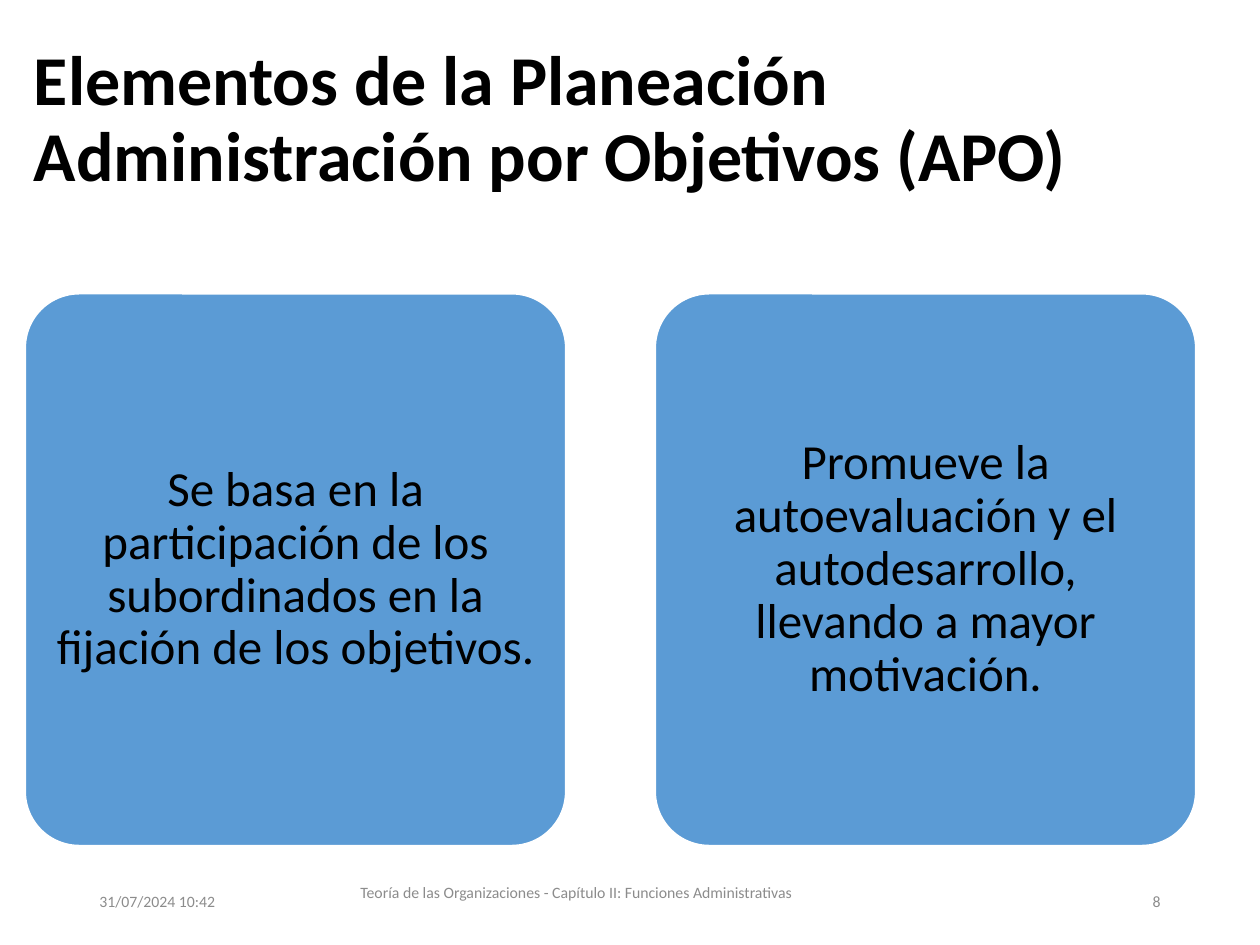
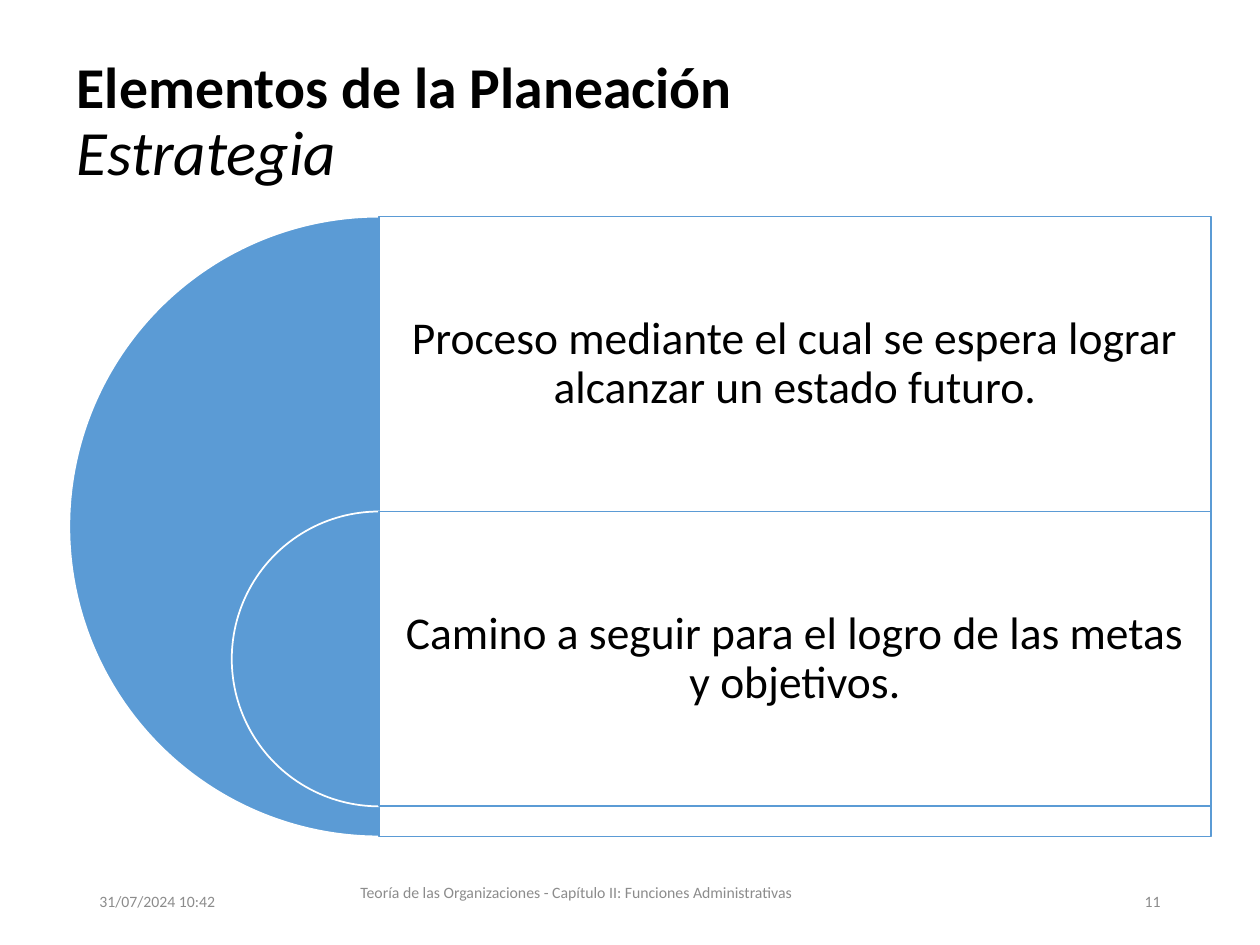
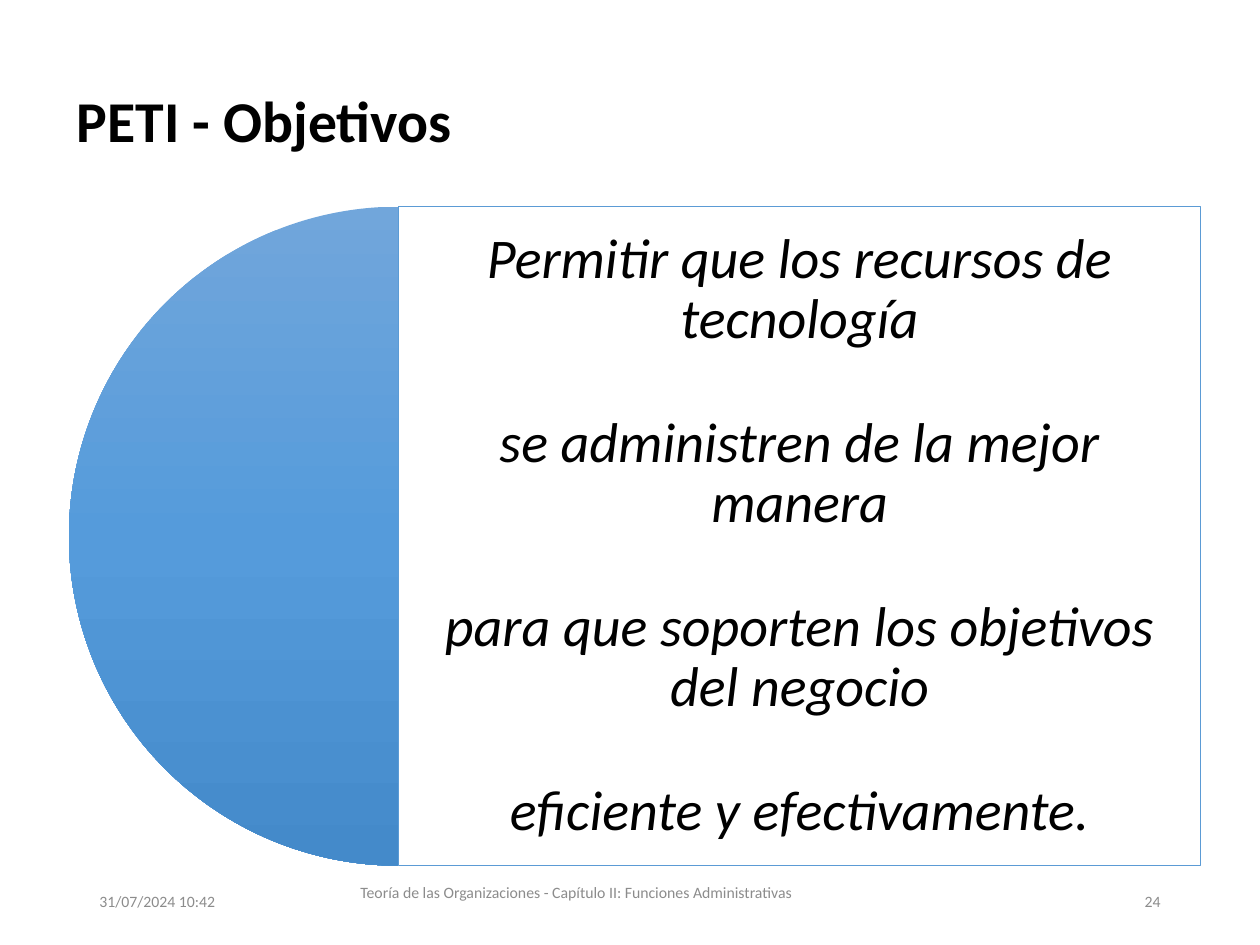
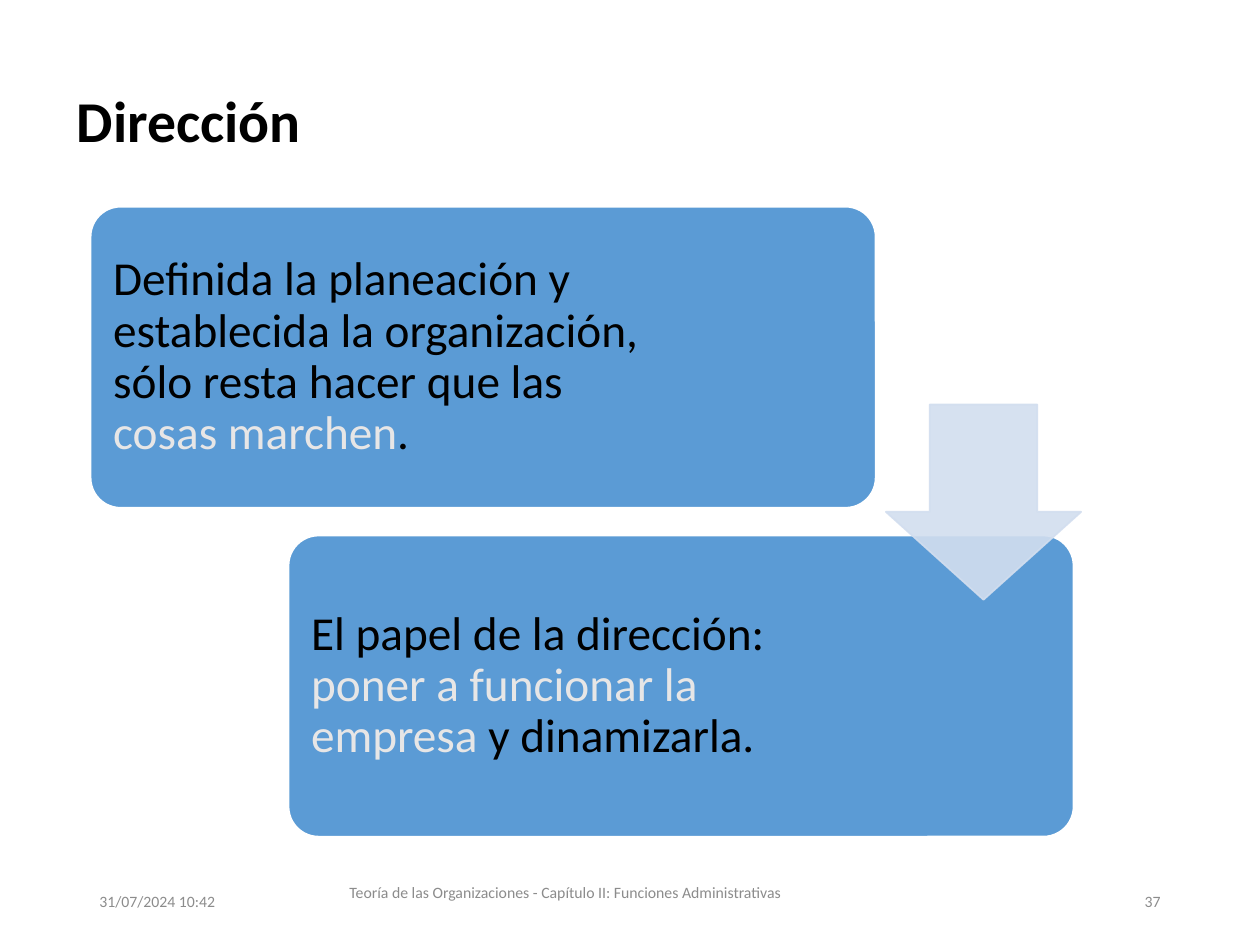
from copy import deepcopy

from lxml import etree
from pptx import Presentation
from pptx.dml.color import RGBColor
from pptx.enum.shapes import MSO_SHAPE
from pptx.enum.text import MSO_ANCHOR, MSO_AUTO_SIZE, PP_ALIGN
from pptx.oxml.ns import qn
from pptx.util import Pt

ROUNDED = MSO_SHAPE.ROUNDED_RECTANGLE
RECTANGLE = MSO_SHAPE.RECTANGLE
PIE = MSO_SHAPE.PIE
DOWN_ARROW = MSO_SHAPE.DOWN_ARROW
LEFT, CENTER, RIGHT = PP_ALIGN.LEFT, PP_ALIGN.CENTER, PP_ALIGN.RIGHT
MIDDLE = MSO_ANCHOR.MIDDLE
NO_AUTOFIT = MSO_AUTO_SIZE.NONE

FONT = "Calibri"
BLACK, WHITE, BLUE = "000000", "FFFFFF", "5B9BD5"
PALE_BLUE, LIGHT_GRAY, FOOTER_GRAY = "D2DEEF", "E7E6E6", "8C8C8C"
DISC_GRADIENT = [(0, "71A6DB"), (0.5, "559BDB"), (1, "448ACA")]

TITLE_BOX = (36.7, 25.9, 648, 90)
FOOTER_BOX = (146.2, 491.8, 365.8, 36)
LAST_FOOTER_BOX = (134.6, 491.8, 376.6, 36)
DATE = "31/07/2024 10:42"
FOOTER = "Teoría de las Organizaciones - Capítulo II: Funciones Administrativas"
CORNER = 0.1
CORNER_INSET = 0.29 * CORNER  # where a rounded corner meets its diagonal


def color(hex_string):
    return RGBColor.from_string(hex_string)


def points(box):
    return [Pt(length) for length in box]


def write_text(shape, paragraphs, size=28, fill=BLACK, align=LEFT, spacing=0.9,
               gap=0, inset=None, **style):
    """Write paragraphs, each a string or a list of (text, font overrides); newlines become line breaks."""
    frame = shape.text_frame
    frame.word_wrap = True
    frame.auto_size = NO_AUTOFIT
    frame.vertical_anchor = MIDDLE
    if inset is not None:
        frame.margin_left = frame.margin_right = Pt(inset)
        frame.margin_top = frame.margin_bottom = Pt(inset)
    for index, content in enumerate(paragraphs):
        paragraph = frame.add_paragraph() if index else frame.paragraphs[0]
        paragraph.alignment = align
        paragraph.line_spacing = spacing
        if index:
            paragraph.space_before = Pt(gap)
        parts = [(content, {})] if isinstance(content, str) else content
        for text, overrides in parts:
            look = {"size": size, "fill": fill, **style, **overrides}
            for number, line in enumerate(text.split("\n")):
                if number:
                    paragraph.add_line_break()
                    line_break = paragraph._p[-1]
                    line_break.append(deepcopy(paragraph.runs[-1]._r.rPr))
                if line:
                    add_run(paragraph, line, **look)


def add_run(paragraph, text, size, fill, bold=False, italic=False):
    run = paragraph.add_run()
    run.text = text
    font = run.font
    font.name, font.size = FONT, Pt(size)
    font.bold, font.italic = bold, italic
    font.color.rgb = color(fill)


def add_label(slide, box, paragraphs, **text_format):
    write_text(slide.shapes.add_textbox(*points(box)), paragraphs, **text_format)


def set_alpha(shape, tag, percent):
    """Set the opacity of the colours found below the given element of the shape."""
    for parent in shape._element.spPr.iter(qn(tag)):
        for solid in parent.iter(qn("a:srgbClr")):
            etree.SubElement(solid, qn("a:alpha")).set("val", str(percent * 1000))


def set_gradient(shape, stops):
    """Fill the shape from top to bottom with (position, colour) stops."""
    shape.fill.gradient()
    shape.fill.gradient_angle = 270
    stop_list = next(shape._element.spPr.iter(qn("a:gsLst")))
    while len(stop_list) < len(stops):
        stop_list.append(deepcopy(stop_list[0]))
    for stop, (position, shade) in zip(shape.fill.gradient_stops, stops):
        stop.position = position
        stop.color.rgb = color(shade)


def add_shape(slide, kind, box, fill=BLUE, line=WHITE, line_width=1,
              adjustments=(), alpha=None):
    """Add a preset shape; fill is a colour or a list of gradient stops."""
    shape = slide.shapes.add_shape(kind, *points(box))
    shape.shadow.inherit = False
    for index, value in enumerate(adjustments):
        shape.adjustments[index] = value
    if isinstance(fill, str):
        shape.fill.solid()
        shape.fill.fore_color.rgb = color(fill)
    else:
        set_gradient(shape, fill)
    if alpha:
        set_alpha(shape, "a:solidFill", alpha)
    if line:
        shape.line.color.rgb = color(line)
        shape.line.width = Pt(line_width)
    else:
        shape.line.fill.background()
    return shape


def add_slide(presentation, number, title, title_box=TITLE_BOX, title_size=33,
              footer_box=FOOTER_BOX):
    """Start a slide with its title, date, footer and page number."""
    slide = presentation.slides.add_slide(presentation.slide_layouts[5])
    heading = slide.shapes.title
    heading.left, heading.top, heading.width, heading.height = points(title_box)
    write_text(heading, [title], size=title_size, bold=True)
    for box, text, align in (
        ((49.7, 500.4, 162, 28.8), DATE, LEFT),
        (footer_box, FOOTER, CENTER),
        ((508.3, 500.4, 162, 28.8), str(number), RIGHT),
    ):
        add_label(slide, box, [text], size=9, fill=FOOTER_GRAY, align=align, spacing=1)
    return slide


def add_card(slide, box, paragraph, label_width=None, **text_format):
    """Add a rounded card whose label keeps clear of the corners."""
    left, top, width, height = box
    add_shape(slide, ROUNDED, box, adjustments=[CORNER])
    margin = CORNER_INSET * min(width, height)
    label_box = (left + margin, top + margin,
                 label_width or width - 2 * margin, height - 2 * margin)
    add_label(slide, label_box, [paragraph], **text_format)


def add_half_disc_panel(slide, box, paragraphs, label_height=None, disc_fill=BLUE,
                        disc_line=WHITE, line_width=1, **text_format):
    """Add a panel with a half disc of the same height against its left edge."""
    left, top, width, height = box
    add_shape(slide, PIE, (left - height / 2, top, height, height), fill=disc_fill,
              line=disc_line, adjustments=[54, 162])
    panel = add_shape(slide, RECTANGLE, box, fill=WHITE, line=None, alpha=90)
    panel.line.color.rgb = color(BLUE)
    panel.line.width = Pt(line_width)
    add_label(slide, (left, top, width, label_height or height), paragraphs,
              align=CENTER, **text_format)


def build_objectives_slide(presentation):
    slide = add_slide(
        presentation, 8,
        "Elementos de la Planeación\nAdministración por Objetivos (APO)",
        title_box=(12.2, 4.3, 659.5, 129.6), title_size=40)
    sentences = [
        "Se basa en la participación de los subordinados en la fijación de los objetivos.",
        "Promueve la autoevaluación y el autodesarrollo, llevando a mayor motivación.",
    ]
    for column, sentence in enumerate(sentences):
        add_card(slide, (14.4 + 360 * column, 167.8, 308.9, 315.4), sentence,
                 align=CENTER, inset=8.6)


def build_strategy_slide(presentation):
    slide = add_slide(presentation, 11, [
        ("Elementos de la Planeación\n", {}),
        ("Estrategia", {"size": 36, "bold": False, "italic": True}),
    ])
    left, top, width, row_height = 216.7, 123.8, 475.2, 168.5
    rows = [
        (354.2, "Proceso mediante el cual se espera lograr alcanzar un estado futuro."),
        (row_height, "Camino a seguir para el logro de las metas y objetivos."),
    ]
    for index, (height, sentence) in enumerate(rows):
        add_half_disc_panel(slide, (left, top + index * row_height, width, height),
                            [sentence], label_height=row_height, size=26, inset=7.9)


def build_peti_slide(presentation):
    slide = add_slide(presentation, 24, "PETI - Objetivos")
    phrases = [
        "Permitir que los recursos de tecnología",
        "se administren de la mejor manera",
        "para que soporten los objetivos del negocio",
        "eficiente y efectivamente.",
    ]
    add_half_disc_panel(slide, (227.7, 118.1, 458.6, 376.6), phrases,
                        disc_fill=DISC_GRADIENT, disc_line=None, line_width=0.5,
                        size=32, italic=True, gap=36, inset=9.4)


def build_direction_slide(presentation):
    slide = add_slide(presentation, 37, "Dirección", footer_box=LAST_FOOTER_BOX)
    highlight = {"fill": LIGHT_GRAY}
    steps = [
        (321.1, [
            ("Definida la planeación y establecida la organización, "
             "sólo resta hacer que las ", {}),
            ("cosas marchen", highlight),
            (".", {}),
        ]),
        (280.8, [
            ("El papel de la dirección: ", {}),
            ("poner a funcionar la empresa", highlight),
            (" y dinamizarla.", {}),
        ]),
    ]
    for index, (label_width, sentence) in enumerate(steps):
        box = (51.8 + 113.1 * index, 118.1 + 187.9 * index, 448.6, 172.1)
        add_card(slide, box, sentence, label_width=label_width, size=27, inset=7.9)
    arrow = add_shape(slide, DOWN_ARROW, (506.2, 231.1, 111.6, 111.6), fill=PALE_BLUE,
                      line=PALE_BLUE, adjustments=[0.55, 0.45], alpha=90)
    set_alpha(arrow, "a:ln", 90)


def main():
    presentation = Presentation()
    presentation.slide_width, presentation.slide_height = Pt(720), Pt(540)
    build_objectives_slide(presentation)
    build_strategy_slide(presentation)
    build_peti_slide(presentation)
    build_direction_slide(presentation)
    presentation.save("out.pptx")


if __name__ == "__main__":
    main()
